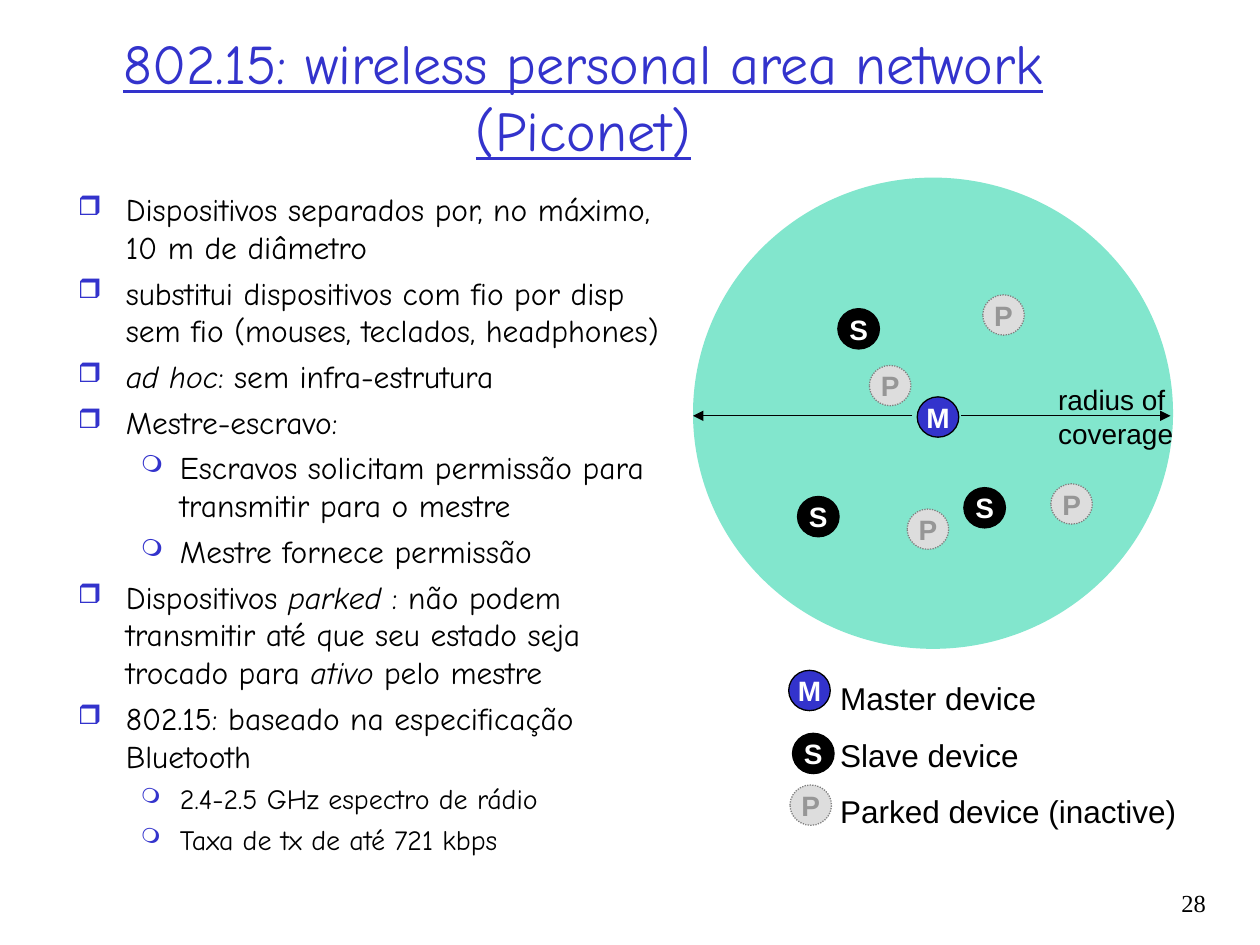
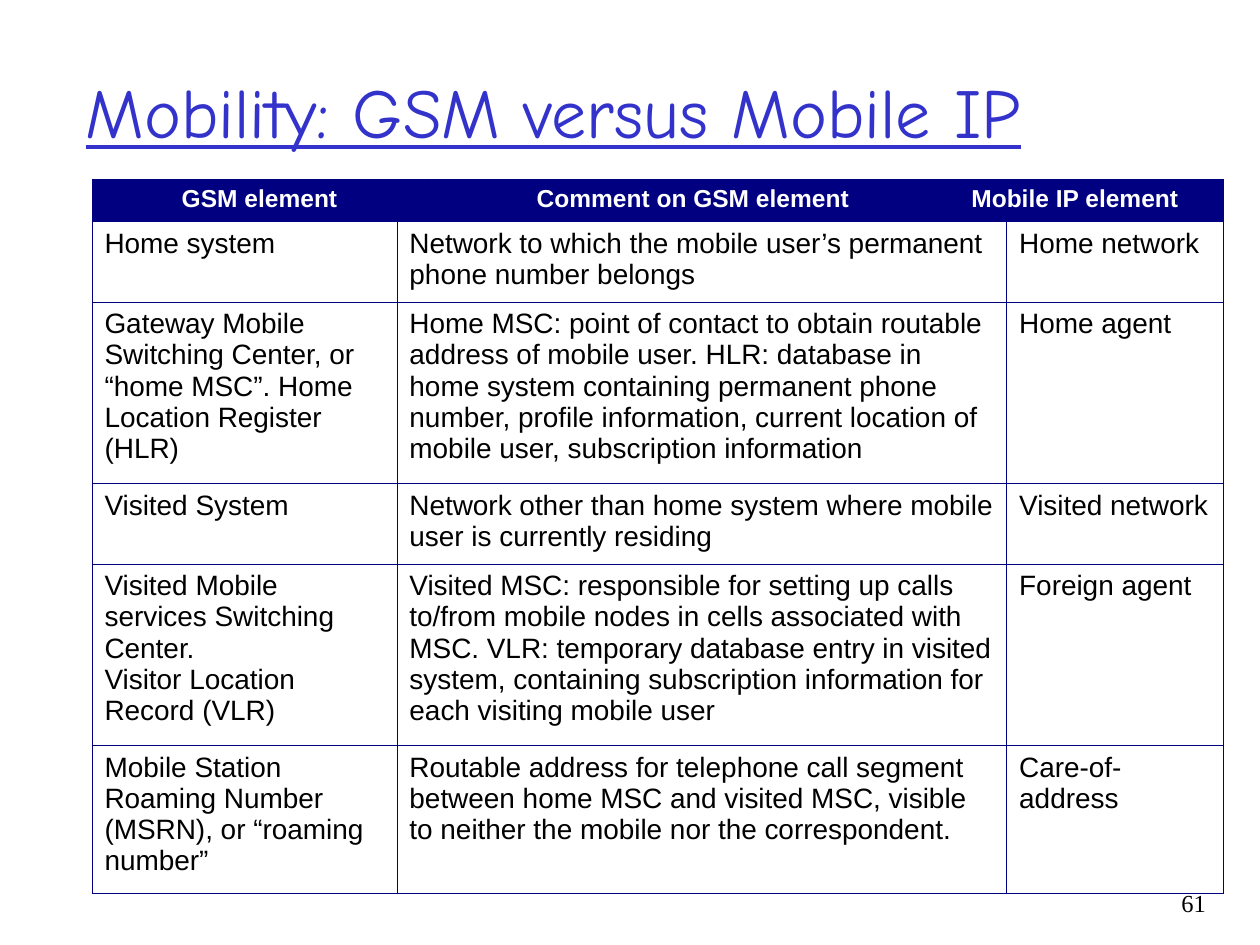
from lxml.etree import SubElement
from pptx import Presentation
from pptx.dml.color import RGBColor
from pptx.enum.dml import MSO_LINE
from pptx.enum.shapes import MSO_CONNECTOR, MSO_SHAPE
from pptx.enum.text import MSO_ANCHOR, MSO_AUTO_SIZE, PP_ALIGN
from pptx.oxml.ns import qn
from pptx.util import Inches, Pt

BLUE, NAVY, BLACK, WHITE = "3333CC", "000080", "000000", "FFFFFF"
HAND, SANS, SERIF = "Comic Neue", "Arial", "Times New Roman"

DEVICES = {
    "M": (BLUE, WHITE, BLACK, MSO_LINE.SOLID),
    "S": (BLACK, WHITE, BLACK, MSO_LINE.SOLID),
    "P": ("DDDDDD", "969696", "808080", MSO_LINE.ROUND_DOT),
}
DISC_WIDTH, DISC_HEIGHT = 0.33, 0.32
BULLETS = [("❒", 85, 0.38, 0.38), ("❍", 75, 0.81, 0.31)]

PICONET_DEVICES = [
    ("M", 7.28, 3.15),
    ("S", 6.65, 2.45), ("S", 7.65, 3.87), ("S", 6.33, 3.94),
    ("P", 7.8, 2.34), ("P", 7.2, 4.04), ("P", 6.9, 2.9), ("P", 8.34, 3.84),
]
LEGEND_DEVICES = [("M", 6.26, 5.32), ("S", 6.29, 5.82), ("P", 6.27, 6.23)]

PICONET_POINTS = [
    (0, 18, ["Dispositivos separados por, no máximo, 10 m de diâmetro"]),
    (0, 18, ["substitui dispositivos com fio por disp sem fio "
             "(mouses, teclados, headphones)"]),
    (0, 18, ["", "ad hoc", ": sem infra-estrutura"]),
    (0, 18, ["Mestre-escravo:"]),
    (1, 18, ["Escravos solicitam permissão para transmitir para o mestre"]),
    (1, 18, ["Mestre fornece permissão"]),
    (0, 18, ["Dispositivos ", "parked ",
             ": não podem transmitir até que seu estado seja trocado para ",
             "ativo ", "pelo mestre"]),
    (0, 18, ["802.15: baseado na especificação Bluetooth"]),
    (1, 16, ["2.4-2.5 GHz espectro de rádio"]),
    (1, 16, ["Taxa de tx de até 721 kbps"]),
]

COLUMN_WIDTHS = [2.42, 0.24, 4.22, 0.38, 1.72]
ROW_HEIGHTS = [0.34, 0.64, 1.44, 0.64, 1.44, 1.17]
HEADER_SPANS = [(0, 1), (2, 2), (3, 4)]
BODY_SPANS = [(0, 0), (1, 3), (4, 4)]
MOBILITY_ROWS = [
    ("GSM element", "Comment on GSM element", "Mobile IP element"),
    ("Home system",
     "Network to which the mobile user’s permanent phone number belongs",
     "Home network"),
    ("Gateway Mobile Switching Center, or “home MSC”. "
     "Home Location Register (HLR)",
     "Home MSC: point of contact to obtain routable address of mobile user. "
     "HLR: database in home system containing permanent phone number, profile "
     "information, current location of mobile user, subscription information",
     "Home agent"),
    ("Visited System",
     "Network other than home system where mobile user is currently residing",
     "Visited network"),
    ("Visited Mobile services Switching Center.\n"
     "Visitor Location Record (VLR)",
     "Visited MSC: responsible for setting up calls to/from mobile nodes in "
     "cells associated with MSC. VLR: temporary database entry in visited "
     "system, containing subscription information for each visiting mobile user",
     "Foreign agent"),
    ("Mobile Station Roaming Number (MSRN), or “roaming number”",
     "Routable address for telephone call segment between home MSC and visited "
     "MSC, visible to neither the mobile nor the correspondent.",
     "Care-of-address"),
]


def color(value):
    return RGBColor.from_string(value)


def inches(*values):
    return [Inches(value) for value in values]


class Deck:
    def __init__(self):
        self.presentation = Presentation()
        self.presentation.slide_width = Inches(10)
        self.presentation.slide_height = Inches(7.5)
        self.page = None

    def style(self, para, size, font=SANS, ink=BLACK, bold=False,
              align=PP_ALIGN.LEFT):
        para.alignment = align
        para.font.name = font
        para.font.size = Pt(size)
        para.font.bold = bold
        para.font.color.rgb = color(ink)

    def start_page(self, title, place, size, align, number):
        self.page = self.presentation.slides.add_slide(
            self.presentation.slide_layouts[5])
        box = self.page.shapes.title
        box.left, box.top, box.width, box.height = inches(*place)
        frame = box.text_frame
        frame.text = title
        frame.auto_size = MSO_AUTO_SIZE.NONE
        frame.vertical_anchor = MSO_ANCHOR.MIDDLE
        para = frame.paragraphs[0]
        self.style(para, size, HAND, BLUE, align=align)
        para.font.underline = True
        self.text(str(number), (8.93, 7, 0.74, 0.5), 14, SERIF,
                  align=PP_ALIGN.RIGHT)

    def text(self, content, place, size, font=SANS, wrap=True, spacing=None,
             align=PP_ALIGN.LEFT):
        frame = self.page.shapes.add_textbox(*inches(*place)).text_frame
        frame.word_wrap = wrap
        frame.text = content
        for para in frame.paragraphs:
            self.style(para, size, font, align=align)
            if spacing:
                para.line_spacing = spacing

    def bullets(self, points, place):
        frame = self.page.shapes.add_textbox(*inches(*place)).text_frame
        frame.word_wrap = True
        for index, (level, size, spans) in enumerate(points):
            para = frame.add_paragraph() if index else frame.paragraphs[0]
            para.level = level
            self.bullet(para, *BULLETS[level])
            self.style(para, size, HAND)
            if index:
                para.space_before = Pt(size / 4)
            for position, words in enumerate(spans):
                if words:
                    span = para.add_run()
                    span.text = words
                    if position % 2:
                        span.font.italic = True

    def bullet(self, para, symbol, percent, margin, hanging):
        properties = para._p.get_or_add_pPr()
        properties.set("marL", str(Inches(margin)))
        properties.set("indent", str(-Inches(hanging)))
        tint = SubElement(properties, qn("a:buClr"))
        SubElement(tint, qn("a:srgbClr"), val=BLUE)
        SubElement(properties, qn("a:buSzPct"), val=str(percent * 1000))
        SubElement(properties, qn("a:buChar"), char=symbol)

    def ellipse(self, place, fill):
        shape = self.page.shapes.add_shape(MSO_SHAPE.OVAL, *inches(*place))
        shape.shadow.inherit = False
        shape.fill.solid()
        shape.fill.fore_color.rgb = color(fill)
        return shape

    def coverage(self, place, fill, opacity):
        shape = self.ellipse(place, fill)
        shape.line.fill.background()
        tint = shape._element.spPr.find(qn("a:solidFill"))[0]
        SubElement(tint, qn("a:alpha"), val=str(opacity * 1000))

    def device(self, letter, left, top):
        fill, ink, outline, dash = DEVICES[letter]
        shape = self.ellipse((left, top, DISC_WIDTH, DISC_HEIGHT), fill)
        shape.line.color.rgb = color(outline)
        shape.line.width = Pt(0.75)
        shape.line.dash_style = dash
        frame = shape.text_frame
        frame.margin_left = frame.margin_right = 0
        frame.margin_top = frame.margin_bottom = 0
        frame.word_wrap = False
        frame.vertical_anchor = MSO_ANCHOR.MIDDLE
        frame.text = letter
        self.style(frame.paragraphs[0], 16, ink=ink, bold=True,
                   align=PP_ALIGN.CENTER)

    def arrow(self, start, end, height):
        line = self.page.shapes.add_connector(
            MSO_CONNECTOR.STRAIGHT, *inches(start, height, end, height))
        line.line.color.rgb = color(BLACK)
        line.line.width = Pt(0.75)
        SubElement(line.line._get_or_add_ln(), qn("a:tailEnd"), type="triangle")
        SubElement(line._element.spPr, qn("a:effectLst"))

    def borders(self, cell):
        properties = cell._tc.get_or_add_tcPr()
        for index, side in enumerate(("lnL", "lnR", "lnT", "lnB")):
            edge = SubElement(properties, qn(f"a:{side}"), w=str(Pt(0.45)))
            fill = SubElement(edge, qn("a:solidFill"))
            SubElement(fill, qn("a:srgbClr"), val=NAVY)
            properties.insert(index, edge)

    def table(self, rows, left, top):
        place = inches(left, top, sum(COLUMN_WIDTHS), sum(ROW_HEIGHTS))
        table = self.page.shapes.add_table(
            len(rows), len(COLUMN_WIDTHS), *place).table
        table.first_row = table.horz_banding = False
        for column, width in zip(table.columns, COLUMN_WIDTHS):
            column.width = Inches(width)
        for row, height in zip(table.rows, ROW_HEIGHTS):
            row.height = Inches(height)
        for index, words in enumerate(rows):
            header = index == 0
            spans = HEADER_SPANS if header else BODY_SPANS
            for content, (first, last) in zip(words, spans):
                cell = table.cell(index, first)
                if last > first:
                    cell.merge(table.cell(index, last))
                cell.text = content
                centred = header and first < 3
                for para in cell.text_frame.paragraphs:
                    self.style(para, 14 if header else 16,
                               ink=WHITE if header else BLACK, bold=header,
                               align=PP_ALIGN.CENTER if centred
                               else PP_ALIGN.LEFT)
            for cell in table.rows[index].cells:
                if header:
                    cell.fill.solid()
                    cell.fill.fore_color.rgb = color(NAVY)
                else:
                    cell.fill.background()
                self.borders(cell)


def piconet_page(deck):
    deck.start_page("802.15: wireless personal area network (Piconet)",
                    (0.38, 0.3, 8.5, 0.92), 32, PP_ALIGN.CENTER, 28)
    deck.coverage((5.5, 1.41, 3.81, 3.74), "00CC99", 49)
    deck.arrow(7.63, 9.29, 3.3)
    deck.arrow(7.24, 5.5, 3.3)
    deck.text("radius of\ncoverage", (8.3, 2.99, 1.11, 0.64), 16, wrap=False)
    for letter, left, top in PICONET_DEVICES + LEGEND_DEVICES:
        deck.device(letter, left, top)
    deck.text("Master device\nSlave device\nParked device (inactive)",
              (6.57, 5.19, 2.87, 1.45), 18, wrap=False, spacing=1.5)
    deck.bullets(PICONET_POINTS, (0.52, 1.46, 4.88, 5.85))


def mobility_page(deck):
    deck.start_page("Mobility: GSM versus Mobile IP",
                    (0.58, 0.25, 8.5, 1.25), 40, PP_ALIGN.LEFT, 61)
    deck.table(MOBILITY_ROWS, 0.73, 1.42)


def main():
    deck = Deck()
    piconet_page(deck)
    mobility_page(deck)
    deck.presentation.save("out.pptx")


if __name__ == "__main__":
    main()
